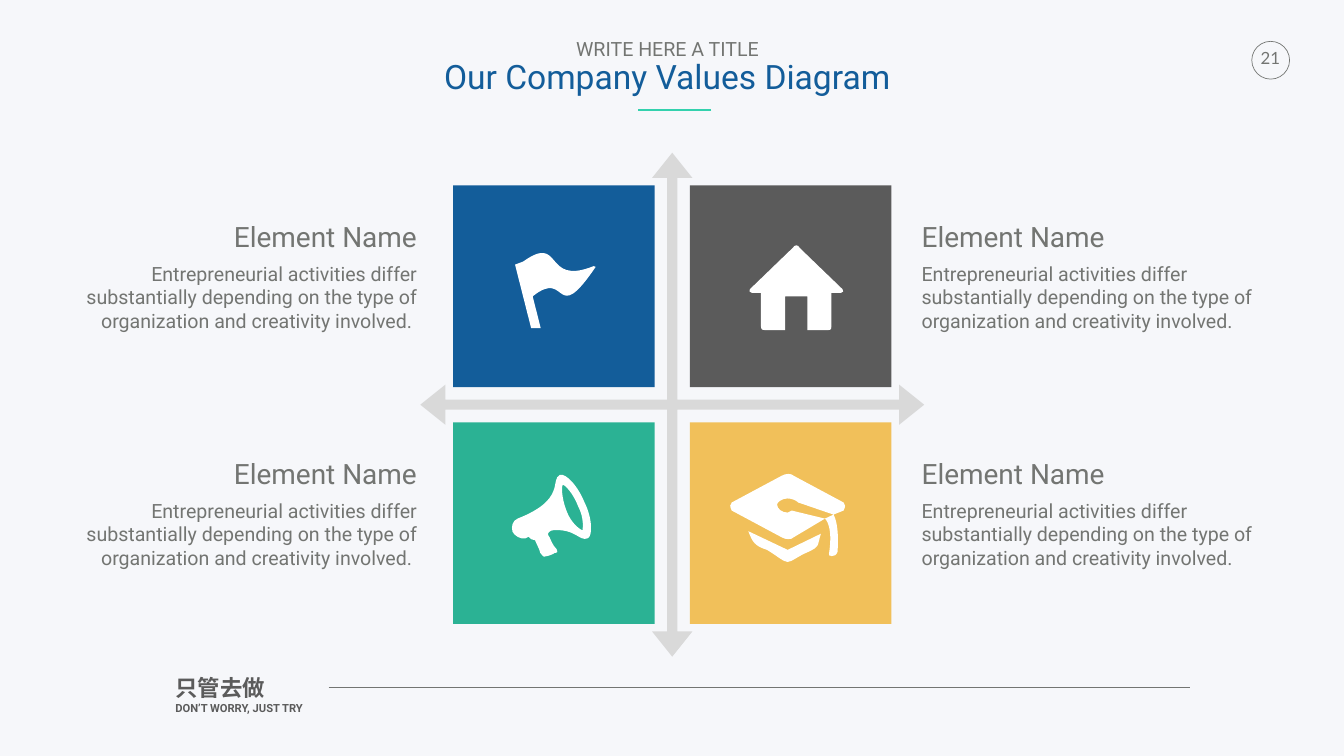
from pptx import Presentation
from pptx import util as u
from pptx.dml.color import RGBColor
from pptx.enum import shapes, text
from pptx.oxml.ns import qn
from lxml import etree

COLORS = {
    "page": "F6F7FA", "gray": "737572", "dark": "5B5B5B", "arrow": "D9D9D9",
    "blue": "135D9A", "green": "2BB294", "yellow": "F1C05A", "teal": "33D1AD",
    "white": "FFFFFF",
}
RGB = {name: RGBColor.from_string(value) for name, value in COLORS.items()}
LEFT, CENTER, RIGHT = text.PP_ALIGN.LEFT, text.PP_ALIGN.CENTER, text.PP_ALIGN.RIGHT

deck = Presentation()
deck.slide_width, deck.slide_height = u.Pt(1920.24), u.Pt(1080)
page = deck.slides.add_slide(deck.slide_layouts[6])
page.background.fill.solid()
page.background.fill.fore_color.rgb = RGB["page"]


def add_text(frame, lines, align=LEFT, inset=7.2, wrap=True, spacing=None):
    """Add a text box; each line is (words, size, color, font, bold)."""
    box = page.shapes.add_textbox(*[u.Pt(length) for length in frame])
    body = box.text_frame
    body.word_wrap = wrap
    body.auto_size = text.MSO_AUTO_SIZE.SHAPE_TO_FIT_TEXT
    body.margin_left = body.margin_right = u.Pt(inset)
    body.margin_top = body.margin_bottom = u.Pt(inset)
    for index, (words, size, color, font, bold) in enumerate(lines):
        para = body.add_paragraph() if index else body.paragraphs[0]
        para.text = words
        para.alignment = align
        para.line_spacing = spacing
        para.font.size, para.font.name, para.font.bold = u.Pt(size), font, bold
        para.font.color.rgb = RGB[color]


def add_outline(contours, color, unit=0.72):
    """Fill contours of points (x, y) and cubic curves (x1, y1, x2, y2, x, y)."""
    builder = page.shapes.build_freeform(*contours[0][0], scale=float(u.Pt(unit)))
    for index, contour in enumerate(contours):
        if index:
            builder.move_to(*contour[0])
        builder.add_line_segments([step[-2:] for step in contour[1:]], close=True)
    outline = builder.convert_to_shape()
    outline.shadow.inherit = False
    outline.fill.solid()
    outline.fill.fore_color.rgb = RGB[color]
    outline.line.fill.background()

    # Bend the segments that have control points
    left = min(step[-2] for contour in contours for step in contour)
    top = min(step[-1] for contour in contours for step in contour)
    steps = [step for contour in contours for step in contour[1:]]
    for segment, step in zip(list(outline.element.iter(qn("a:lnTo"))), steps):
        if len(step) == 6:
            segment.tag = qn("a:cubicBezTo")
            for place in (0, 2):
                control = etree.Element(qn("a:pt"), x=str(step[place] - left),
                                        y=str(step[place + 1] - top))
                segment.insert(place // 2, control)


# Page number
badge = page.shapes.add_shape(shapes.MSO_SHAPE.OVAL, u.Pt(1788.48), u.Pt(59.04), u.Pt(54), u.Pt(54))
badge.shadow.inherit = False
badge.fill.background()
badge.line.color.rgb = RGB["gray"]
badge.line.width = u.Pt(1)
add_text((1785, 61.2, 60, 43.2), [("21", 24, "gray", "Lato", False)], CENTER, wrap=False)

# Footer motto
add_text((246.96, 959.76, 287.28, 71.28),
         [("只管去做", 32, "dark", "Roboto", True),
          ("DON’T WORRY, JUST TRY", 16, "dark", "Roboto", True)], inset=3.6)

# Title
add_text((624.5, 53.28, 658.08, 95.76),
         [("WRITE HERE A TITLE", 28, "gray", "Roboto", False),
          ("Our Company Values Diagram", 48, "blue", "Roboto", False)],
         CENTER, inset=3.6, wrap=False, spacing=0.9)

# Footer rule and title accent
for start, end, y, color, width in [(469.44, 1700.64, 982.08, "gray", 0.25),
                                    (1015.92, 912.24, 156.96, "teal", 3)]:
    rule = page.shapes.add_connector(shapes.MSO_CONNECTOR.STRAIGHT,
                                     u.Pt(start), u.Pt(y), u.Pt(end), u.Pt(y))
    rule.line.color.rgb = RGB[color]
    rule.line.width = u.Pt(width)
    etree.SubElement(rule.element.spPr, qn("a:effectLst"))

# Four-way arrow: one arm turned by quarter turns about the center
arm = [(-10, -10), (-10, -450), (-40, -450), (0, -500), (40, -450), (10, -450)]
cross = []
for turn in range(4):
    cross += [(1334 + x, 803 + y) for x, y in arm]
    arm = [(-y, x) for x, y in arm]
add_outline([cross], "arrow")

# Squares with their captions
PITCH = 338.4
DETAIL = ("Entrepreneurial activities differ substantially depending on the type of "
          "organization and creativity involved.")
for index, color in enumerate(["blue", "dark", "green", "yellow"]):
    row, column = divmod(index, 2)
    drop = row * PITCH
    square = page.shapes.add_shape(shapes.MSO_SHAPE.RECTANGLE, u.Pt(647.28 + column * PITCH),
                                   u.Pt(264.96 + drop), u.Pt(288), u.Pt(288))
    square.shadow.inherit = False
    square.fill.solid()
    square.fill.fore_color.rgb = RGB[color]
    square.line.fill.background()

    left, align, detail = [(91.44, RIGHT, DETAIL + " "), (1309.68, LEFT, DETAIL)][column]
    add_text((left, 306.72 + drop, 511.2, 62.64),
             [("Element Name", 40, "gray", "Roboto", False)], align)
    add_text((left, 366.48 + drop, 511.2, 116.64),
             [(detail, 28, "gray", "Roboto", False)], align)

# Icons, in hundredths of an inch
flag = [[(1178, 528), (1077, 569, 1118, 462, 1038, 519), (1022, 525), (1054, 651), (1073, 651),
         (1057, 588), (1128, 531, 1099, 651, 1181, 531), (1185, 531, 1181, 528, 1178, 528)]]
house = [[(1672, 574), (1587, 492), (1584, 485, 1577, 485, 1573, 492), (1488, 574),
          (1485, 577, 1488, 581, 1492, 581), (1510, 581), (1510, 647),
          (1510, 651, 1510, 655, 1518, 655), (1558, 655), (1558, 588), (1602, 588),
          (1602, 655), (1643, 655), (1650, 655, 1650, 651, 1650, 647), (1650, 581),
          (1669, 581), (1672, 581, 1676, 577, 1672, 574)]]
megaphone = [
    [(1160, 997), (1147, 965, 1124, 939, 1111, 942), (1091, 952, 1124, 991, 1027, 1029),
     (1017, 1033, 1014, 1045, 1017, 1055), (1020, 1062, 1033, 1071, 1043, 1068), (1049, 1065),
     (1056, 1075, 1063, 1068, 1063, 1075), (1066, 1081, 1072, 1094, 1072, 1097),
     (1075, 1100, 1079, 1107, 1082, 1104), (1085, 1104, 1098, 1100, 1101, 1097),
     (1107, 1097, 1107, 1094, 1105, 1091), (1105, 1088, 1098, 1084, 1098, 1081),
     (1095, 1078, 1091, 1065, 1088, 1062), (1085, 1059, 1091, 1052, 1098, 1052),
     (1143, 1049, 1150, 1075, 1166, 1068), (1176, 1065, 1176, 1029, 1160, 997)],
    [(1156, 1052), (1153, 1052, 1133, 1039, 1124, 1013), (1114, 988, 1114, 962, 1117, 962),
     (1121, 962, 1137, 978, 1147, 1004), (1160, 1029, 1156, 1049, 1156, 1052)]]
graduation_cap = [
    [(1485, 1054), (1493, 1075, 1497, 1083, 1522, 1091), (1542, 1103, 1555, 1115, 1563, 1115),
     (1571, 1115, 1584, 1103, 1604, 1095), (1629, 1083, 1621, 1083, 1629, 1059), (1563, 1091)],
    [(1674, 997), (1575, 944), (1571, 939, 1559, 939, 1551, 944), (1452, 997),
     (1448, 1001, 1448, 1005, 1452, 1013), (1551, 1066), (1559, 1071, 1571, 1071, 1575, 1066),
     (1637, 1029), (1571, 1013), (1567, 1013, 1567, 1017, 1563, 1017),
     (1551, 1017, 1542, 1009, 1542, 1001), (1542, 997, 1551, 989, 1563, 989),
     (1571, 989, 1580, 993, 1584, 997), (1654, 1021), (1674, 1013),
     (1678, 1005, 1678, 1001, 1674, 997)],
    [(1645, 1099), (1641, 1103, 1658, 1108, 1662, 1095), (1666, 1038, 1654, 1021, 1654, 1021),
     (1637, 1029), (1637, 1029, 1654, 1042, 1645, 1099)]]
for icon in (flag, house, megaphone, graduation_cap):
    add_outline(icon, "white")

deck.save("out.pptx")
